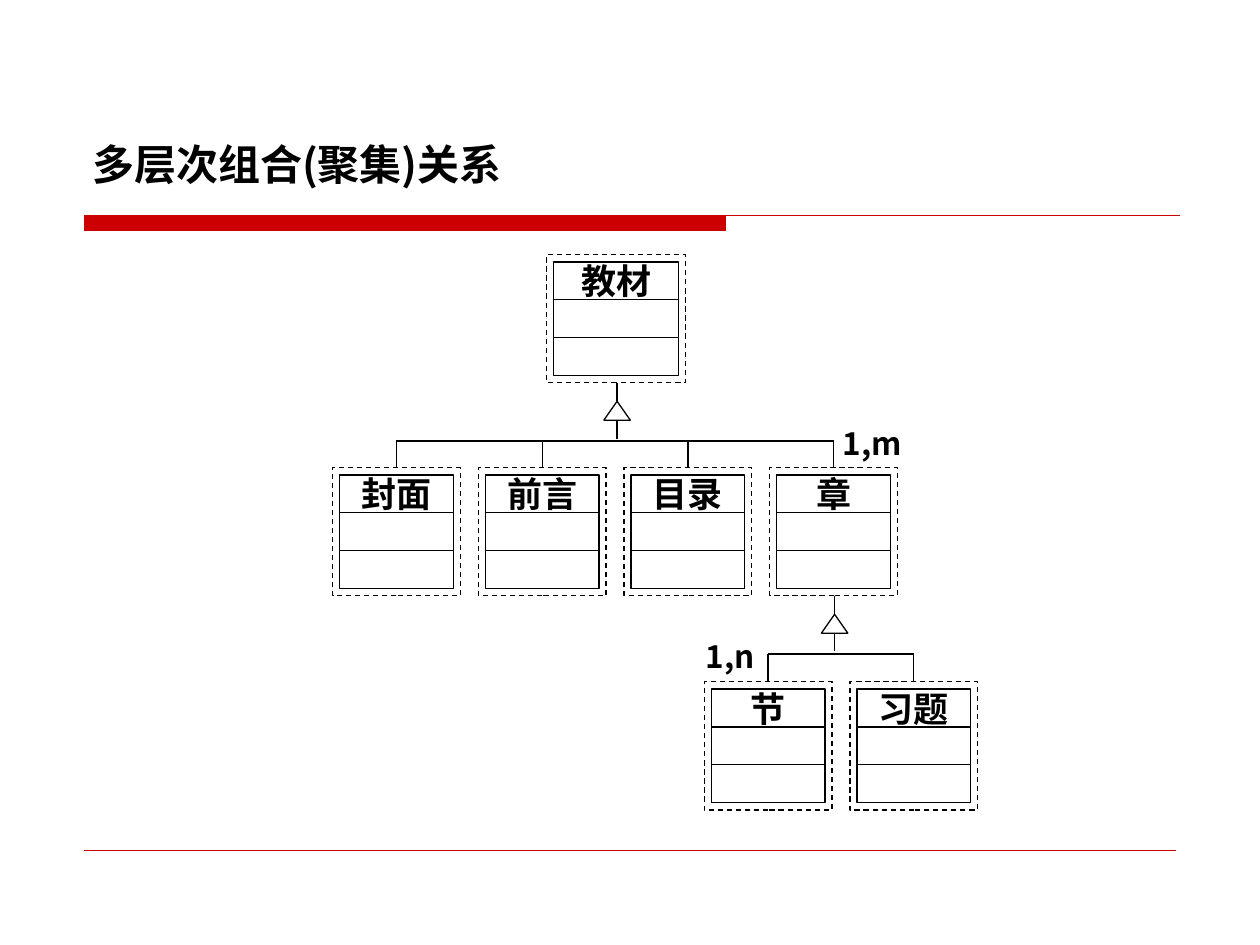
import pptx
import pptx.dml.color
import pptx.enum.dml
import pptx.enum.shapes
import pptx.enum.text
import pptx.oxml.ns
import pptx.util
from dataclasses import dataclass
from lxml import etree

Pt = pptx.util.Pt
Color = pptx.dml.color.RGBColor
Shape = pptx.enum.shapes.MSO_SHAPE
Align = pptx.enum.text.PP_ALIGN
Anchor = pptx.enum.text.MSO_ANCHOR
qn = pptx.oxml.ns.qn


@dataclass
class Theme:
    font: str = "Noto Sans CJK SC"
    ink: Color = Color(0x00, 0x00, 0x00)
    accent: Color = Color(0xCC, 0x00, 0x00)
    title_size: int = 24
    class_size: int = 20
    label_size: int = 18
    line_width: float = 0.75
    footer_width: float = 0.25


theme = Theme()


def write(box, text, size, align, anchor, wrap=False):
    frame = box.text_frame
    frame.margin_left = frame.margin_right = frame.margin_top = frame.margin_bottom = 0
    frame.word_wrap = wrap
    frame.vertical_anchor = anchor
    para = frame.paragraphs[0]
    para.alignment = align
    para.space_before = Pt(0)
    span = para.add_run()
    span.text = text
    span.font.size = Pt(size)
    span.font.bold = True
    span.font.name = theme.font
    span.font.color.rgb = theme.ink
    east_asian = etree.SubElement(span.font._element, qn("a:ea"))
    east_asian.set("typeface", theme.font)


def draw(shapes, kind, left, top, width, height, color=theme.ink, weight=theme.line_width):
    """Add an unfilled outline, or a straight line when kind is None."""
    if kind is None:
        item = shapes.add_connector(pptx.enum.shapes.MSO_CONNECTOR.STRAIGHT,
                                    Pt(left), Pt(top), Pt(left + width), Pt(top + height))
        etree.SubElement(item._element.spPr, qn("a:effectLst"))
    else:
        item = shapes.add_shape(kind, Pt(left), Pt(top), Pt(width), Pt(height))
        item.shadow.inherit = False
        item.fill.background()
    item.line.color.rgb = color
    item.line.width = Pt(weight)
    return item


deck = pptx.Presentation()
deck.slide_width, deck.slide_height = Pt(720), Pt(540)
page = deck.slides.add_slide(deck.slide_layouts[5])

# Header band with its thin rule, and the footer rule
left, right, top, bottom = Pt(48.2), Pt(674.6), Pt(123.1), Pt(131.8)
band_right = Pt(414.7)
builder = page.shapes.build_freeform(left, top)
builder.add_line_segments([(band_right, top), (band_right, bottom), (left, bottom)], close=True)
builder.move_to(left, top)
builder.add_line_segments([(right, top)], close=False)
band = builder.convert_to_shape()
band.shadow.inherit = False
band.fill.solid()
band.fill.fore_color.rgb = theme.accent
band.line.color.rgb = theme.accent
band.line.width = Pt(theme.line_width)
draw(page.shapes, None, 48.2, 486, 623.6, 0, theme.accent, theme.footer_width)

# Title
title = page.shapes.title
title.left, title.top, title.width, title.height = Pt(52.6), Pt(79.2), Pt(260), Pt(28.8)
write(title, "多层次组合(聚集)关系", theme.title_size, Align.LEFT, Anchor.TOP, wrap=True)

# Class boxes: a dashed frame around three compartments
diagram = page.shapes.add_group_shape().shapes
frame_height, frame_width, pitch = 73.4, 73, 83.3
inset_x, inset_y, row_height = 4, 4.3, 21.6
levels = [
    # top, left, frame width, class names
    (145.4, 312.5, 79.2, ["教材"]),
    (267.1, 190, frame_width, ["封面", "前言", "目录", "章"]),
    (389.5, 402.4, frame_width, ["节", "习题"]),
]
centers = []
for top, first_left, width, names in levels:
    centers.append([first_left + i * pitch + width / 2 for i in range(len(names))])
    for center, name in zip(centers[-1], names):
        left = center - width / 2
        frame = draw(diagram, Shape.RECTANGLE, left, top, width, frame_height)
        frame.line.dash_style = pptx.enum.dml.MSO_LINE.DASH
        for row in range(3):
            cell = draw(diagram, Shape.RECTANGLE, left + inset_x,
                        top + inset_y + row * row_height, width - 2 * inset_x, row_height)
            if row == 0:
                write(cell, name, theme.class_size, Align.CENTER, Anchor.MIDDLE)

# Aggregation links: stem, triangle, stem, bar and one drop per part
triangle_width, triangle_height, stem = 15.1, 10.8, 10.5
for level in range(2):
    parent_bottom = levels[level][0] + frame_height
    parent_x = centers[level][-1] + 0.5
    parts = centers[level + 1]
    bar_y = parent_bottom + 33.2
    triangle_top = parent_bottom + stem
    draw(diagram, None, parent_x, parent_bottom, 0, stem)
    draw(diagram, Shape.ISOSCELES_TRIANGLE, parent_x - triangle_width / 2, triangle_top,
         triangle_width, triangle_height)
    draw(diagram, None, parent_x, triangle_top + triangle_height, 0, stem)
    draw(diagram, None, parts[0], bar_y, parts[-1] - parts[0], 0)
    for part_x in parts:
        draw(diagram, None, part_x, bar_y, 0, levels[level + 1][0] - bar_y)

# Multiplicities, wide enough to stay on one line
for text, left, top, width in [("1,m", 481.7, 243.4, 40), ("1,n", 403.2, 365, 34)]:
    box = diagram.add_textbox(Pt(left), Pt(top), Pt(width), Pt(19.4))
    write(box, text, theme.label_size, Align.LEFT, Anchor.MIDDLE)

deck.save("out.pptx")
